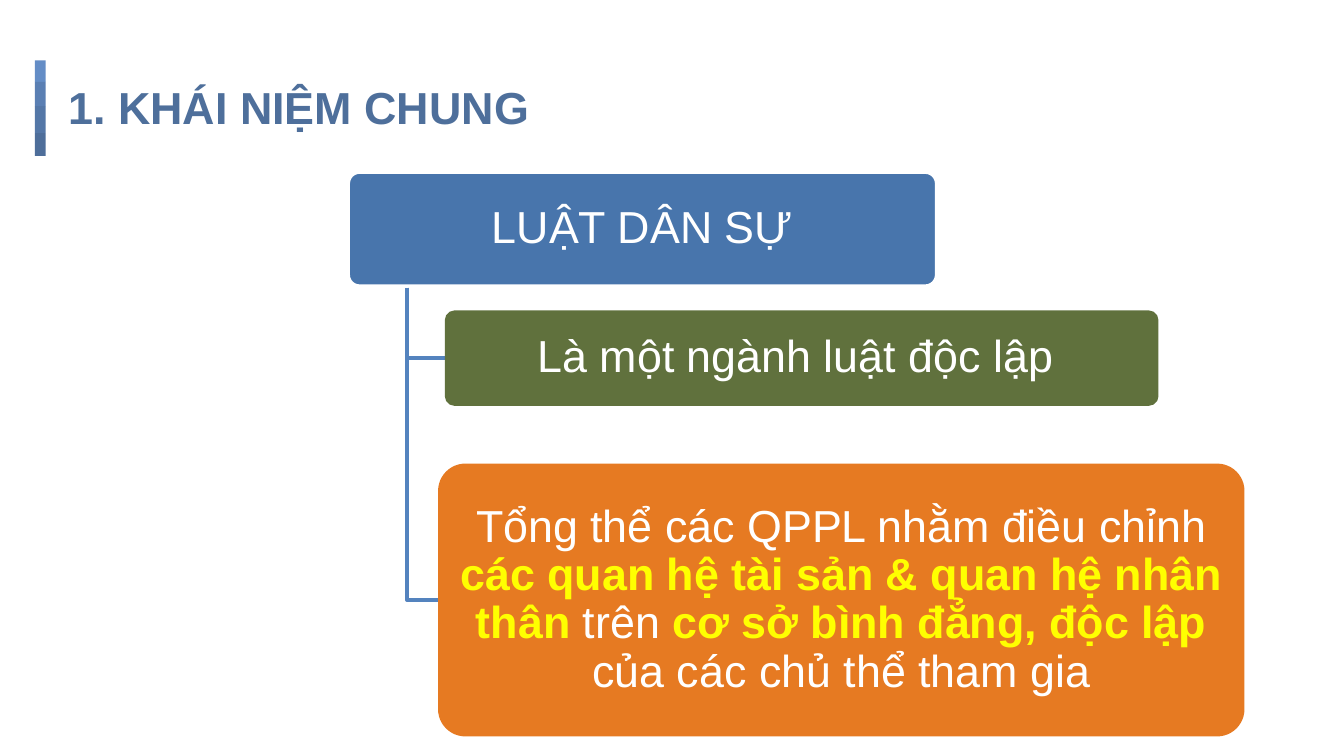
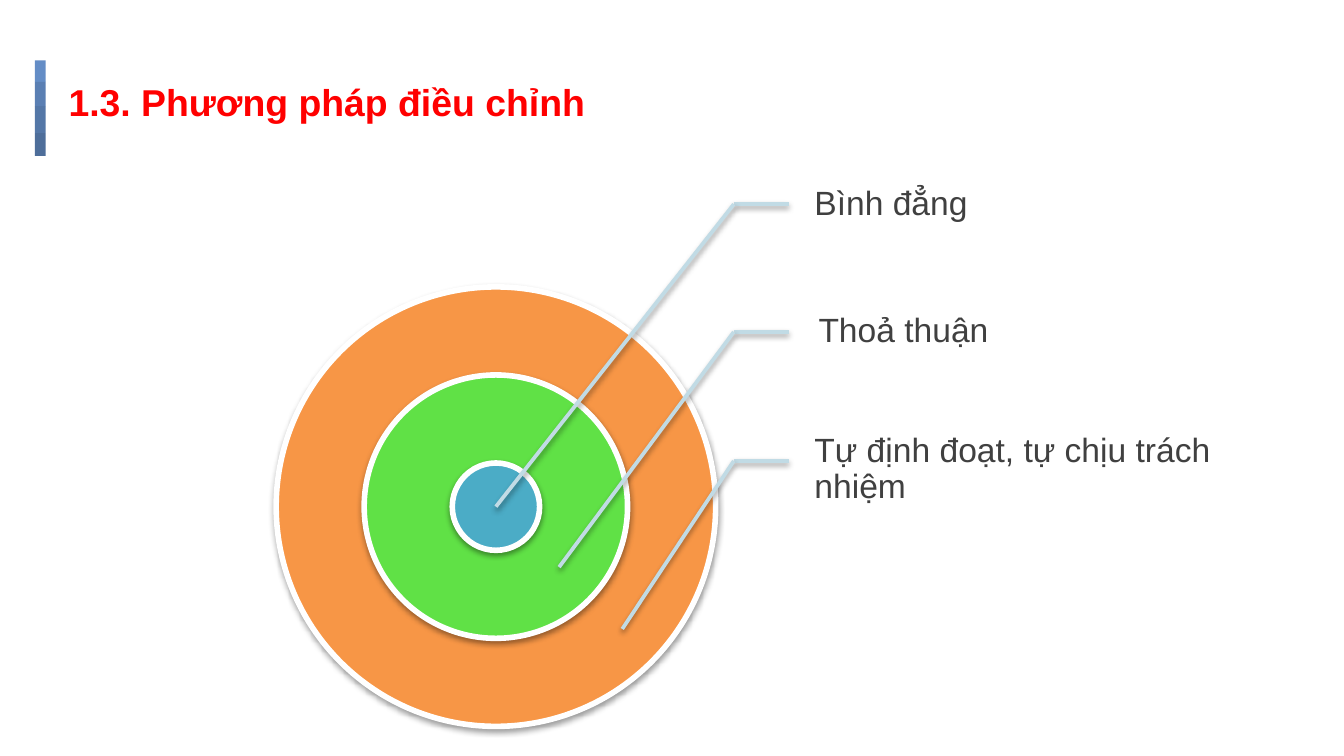
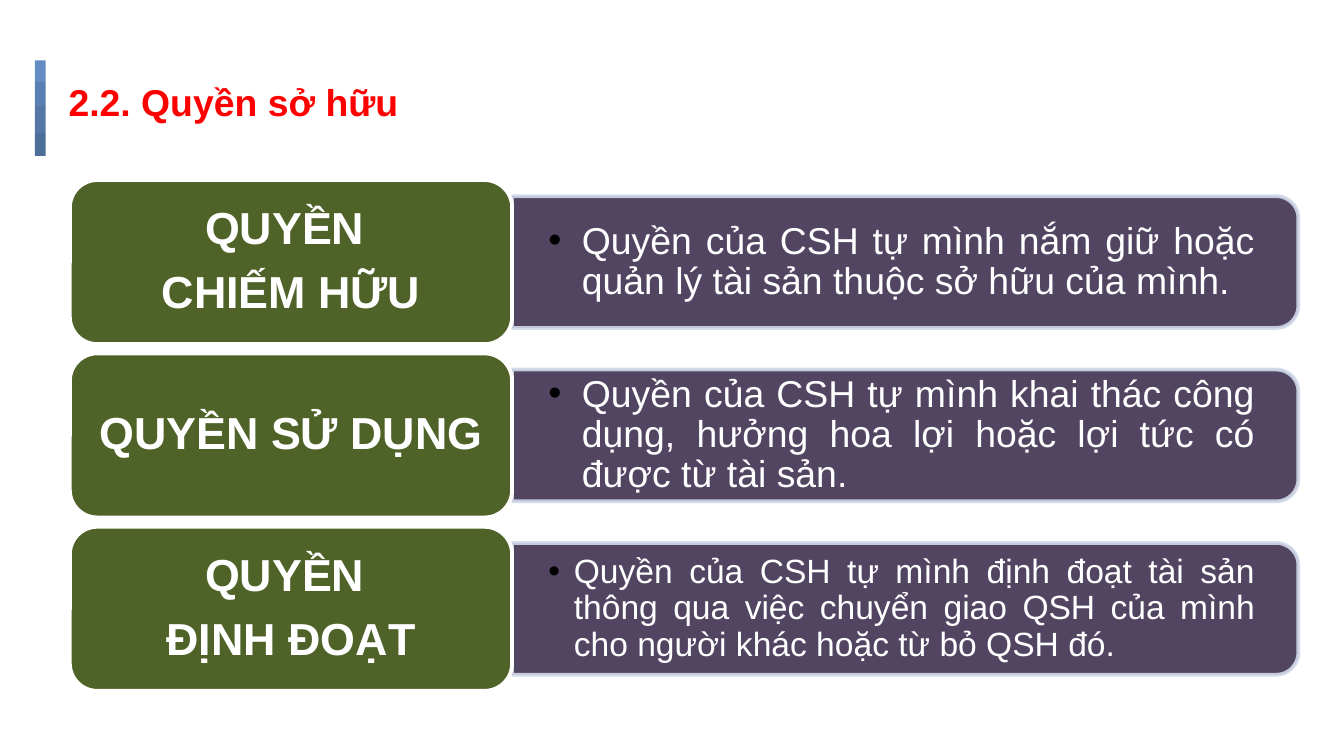
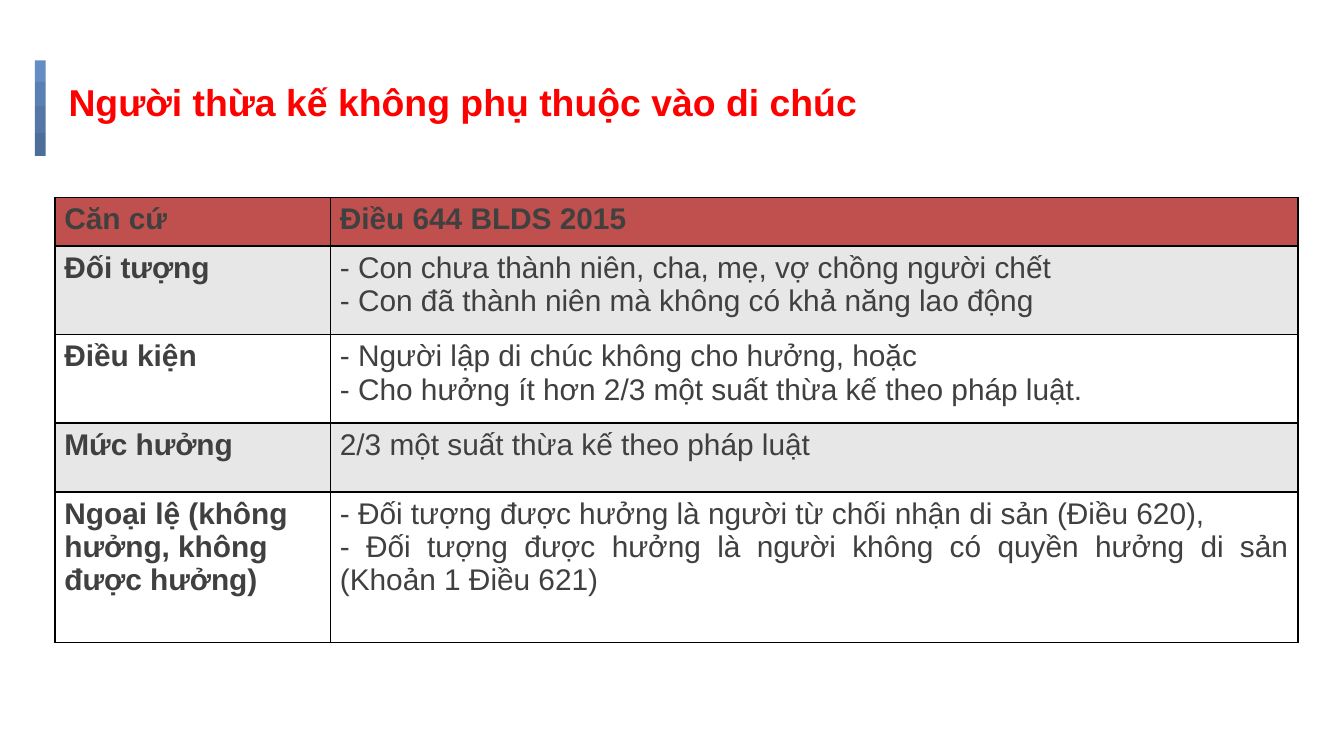
"""Build four slides on civil law: concept, method, ownership rights and inheritance."""
from typing import Any, NamedTuple, Optional, Sequence

from lxml.etree import SubElement
from pptx import Presentation
from pptx.dml.color import RGBColor
from pptx.enum.shapes import MSO_CONNECTOR, MSO_SHAPE as SHAPE
from pptx.enum.text import MSO_ANCHOR as ANCHOR, PP_ALIGN as ALIGN
from pptx.oxml.ns import qn
from pptx.util import Emu, Inches, Pt

FONT = "Arial"
SLIDE_WIDTH = Inches(10)
SLIDE_HEIGHT = SLIDE_WIDTH * 9 // 16
WHITE = RGBColor(0xFF, 0xFF, 0xFF)
BLACK = RGBColor(0x00, 0x00, 0x00)
RED = RGBColor(0xFF, 0x00, 0x00)
YELLOW = RGBColor(0xFF, 0xFF, 0x00)
TEXT_GREY = RGBColor(0x40, 0x40, 0x40)
TITLE_BLUE = RGBColor(0x4E, 0x6F, 0x9B)
ROOT_BLUE = RGBColor(0x48, 0x75, 0xAC)
BRANCH_BLUE = RGBColor(0x54, 0x83, 0xBE)
OLIVE = RGBColor(0x4F, 0x62, 0x28)
ORANGE = RGBColor(0xE4, 0x6C, 0x0A)
RING_ORANGE = RGBColor(0xF7, 0x96, 0x46)
RING_GREEN = RGBColor(0x60, 0xE1, 0x46)
RING_TEAL = RGBColor(0x4B, 0xAC, 0xC6)
LEADER_BLUE = RGBColor(0xC1, 0xDB, 0xE5)
PURPLE = RGBColor(0x40, 0x31, 0x52)
PALE_BLUE = RGBColor(0xD0, 0xD8, 0xE8)
HEADER_RED = RGBColor(0xC0, 0x50, 0x4D)
BAND_GREY = RGBColor(0xE7, 0xE7, 0xE7)


class Box(NamedTuple):
    """Left, top, width and height in inches."""
    x: float
    y: float
    w: float
    h: float


class Run(NamedTuple):
    """A piece of text with its colour and weight."""
    text: str
    color: RGBColor = WHITE
    bold: bool = False


class Bar(NamedTuple):
    """One segment of the vertical title bar."""
    height: float
    color: RGBColor


class Node(NamedTuple):
    """A box of the concept tree."""
    box: Box
    fill: RGBColor
    runs: Sequence[Run]
    alpha: Optional[int] = None


class Ring(NamedTuple):
    """A concentric circle."""
    diameter: float
    fill: RGBColor


class Callout(NamedTuple):
    """A label with the point its leader line reaches."""
    text: str
    box: Box
    y: float
    target: tuple[float, float]
    align: ALIGN = ALIGN.LEFT


class Right(NamedTuple):
    """An ownership right and its meaning."""
    name: Sequence[str]
    meaning: str
    size: int = 20
    indent: float = 0.25


class Row(NamedTuple):
    """A table row."""
    height: float
    head: str
    lines: Sequence[str]
    fill: RGBColor


BARS = (
    Bar(0.16, RGBColor(0x64, 0x8D, 0xC6)),
    Bar(0.18, RGBColor(0x5A, 0x7F, 0xB3)),
    Bar(0.2, RGBColor(0x54, 0x77, 0xA7)),
    Bar(0.17, RGBColor(0x4E, 0x6E, 0x9A)),
)
ROOT = Node(Box(2.59, 1.28, 4.38, 0.85), ROOT_BLUE, [Run("LUẬT DÂN SỰ")])
BRANCHES = (
    Node(Box(3.31, 2.31, 5.31, 0.71), OLIVE, [Run("Là một ngành luật độc lập ")], 90),
    Node(Box(3.26, 3.45, 6, 2.03), ORANGE, [
        Run("Tổng thể các QPPL nhằm điều chỉnh "),
        Run("các quan hệ tài sản & quan hệ nhân thân ", YELLOW, True),
        Run("trên "),
        Run("cơ sở bình đẳng, độc lập ", YELLOW, True),
        Run("của các chủ thể tham gia"),
    ], 90),
)
TRUNK_X, TRUNK_Y = 3.03, 2.14
CENTER = (3.69, 3.77)
RINGS = (Ring(3.27, RING_ORANGE), Ring(1.96, RING_GREEN), Ring(0.65, RING_TEAL))
LEADER_X, LEADER_END = 5.46, 5.87
CALLOUTS = (
    Callout("Bình đẳng", Box(5.76, 1.05, 1.63, 0.95), 1.52, CENTER, ALIGN.CENTER),
    Callout("Thoả thuận", Box(5.95, 1.99, 2.11, 0.95), 2.47, (4.16, 4.22)),
    Callout("Tự định đoạt, tự chịu trách nhiệm", Box(5.92, 3.02, 3.14, 0.95),
            3.43, (4.63, 4.68)),
)
RIGHTS = (
    Right(["QUYỀN ", "CHIẾM HỮU"],
          "Quyền của CSH tự mình nắm giữ hoặc quản lý tài sản thuộc sở hữu của mình. "),
    Right(["QUYỀN SỬ DỤNG"],
          "Quyền của CSH tự mình khai thác công dụng, hưởng hoa lợi hoặc lợi tức "
          "có được từ tài sản. "),
    Right(["QUYỀN ", "ĐỊNH ĐOẠT"],
          "Quyền của CSH tự mình định đoạt tài sản thông qua việc chuyển giao QSH "
          "của mình cho người khác hoặc từ bỏ QSH đó.", 18, 0.19),
)
RIGHTS_TOP, RIGHTS_PITCH = 1.34, 1.29
COLUMNS = (2.05, 7.2)
ROWS = (
    Row(0.36, "Căn cứ", ["Điều 644 BLDS 2015"], HEADER_RED),
    Row(0.66, "Đối tượng", ["- Con chưa thành niên, cha, mẹ, vợ chồng người chết",
                            "- Con đã thành niên mà không có khả năng lao động "], BAND_GREY),
    Row(0.66, "Điều kiện", ["- Người lập di chúc không cho hưởng, hoặc",
                            "- Cho hưởng ít hơn 2/3 một suất thừa kế theo pháp luật."], WHITE),
    Row(0.51, "Mức hưởng", ["2/3 một suất thừa kế theo pháp luật"], BAND_GREY),
    Row(1.12, "Ngoại lệ (không hưởng, không được hưởng)",
        ["- Đối tượng được hưởng là người từ chối nhận di sản (Điều 620), ",
         "- Đối tượng được hưởng là người không có quyền hưởng di sản (Khoản 1 Điều 621)"],
        WHITE),
)


def assign(obj: Any, values: dict[str, Any]) -> None:
    """Set each named attribute of an object."""
    for name, value in values.items():
        setattr(obj, name, value)


def inches(box: Sequence[float]) -> list[Emu]:
    """Convert a box or point to lengths."""
    return [Inches(v) for v in box]


def set_frame(tf: Any, margins: tuple[float, float, float, float],
              anchor: ANCHOR = ANCHOR.MIDDLE) -> None:
    """Set wrapping, anchor and the left, top, right and bottom margins."""
    left, top, right, bottom = inches(margins)
    assign(tf, {"word_wrap": True, "vertical_anchor": anchor, "margin_left": left,
                "margin_top": top, "margin_right": right, "margin_bottom": bottom})


def write(tf: Any, paragraphs: Sequence[Sequence[Run]], size: int,
          align: ALIGN = ALIGN.CENTER, **spacing: Any) -> None:
    """Fill a text frame with formatted paragraphs."""
    for i, runs in enumerate(paragraphs):
        p = tf.add_paragraph() if i else tf.paragraphs[0]
        assign(p, {"alignment": align, **spacing})
        for run in runs:
            r = p.add_run()
            r.text = run.text
            assign(r.font, {"name": FONT, "size": Pt(size), "bold": run.bold})
            r.font.color.rgb = run.color


def add_bullet(p: Any, indent: float) -> None:
    """Give a paragraph a black hanging bullet."""
    p.level = 1
    pPr = p._p.get_or_add_pPr()
    pPr.set("marL", str(Inches(indent)))
    pPr.set("indent", str(-Inches(indent)))
    color = SubElement(pPr, qn("a:buClr"))
    SubElement(color, qn("a:srgbClr"), val=str(BLACK))
    SubElement(pPr, qn("a:buFont"), typeface=FONT)
    SubElement(pPr, qn("a:buChar"), char="•")


def set_line(line: Any, color: Optional[RGBColor], width: float = 2) -> None:
    """Colour an outline, or remove it."""
    if color is None:
        line.fill.background()
    else:
        line.color.rgb = color
        line.width = Pt(width)


def set_alpha(sp: Any, percent: int) -> None:
    """Make the fill and outline of a shape translucent."""
    for color in sp._element.spPr.iter(qn("a:srgbClr")):
        SubElement(color, qn("a:alpha"), val=str(percent * 1000))


def cast_shadow(sp: Any) -> None:
    """Add a soft shadow below a shape or connector."""
    spPr = sp._element.spPr
    effects = spPr.find(qn("a:effectLst"))
    if effects is None:
        effects = SubElement(spPr, qn("a:effectLst"))
    shadow = SubElement(effects, qn("a:outerShdw"), blurRad=str(Pt(3.1)), dist=str(Pt(1.6)),
                        dir="5400000", rotWithShape="0")
    color = SubElement(shadow, qn("a:srgbClr"), val=str(BLACK))
    SubElement(color, qn("a:alpha"), val="38000")


def add_box(shapes: Any, kind: SHAPE, box: Box, fill: RGBColor,
            line: Optional[RGBColor] = None, width: float = 2) -> Any:
    """Draw a filled preset shape."""
    sp = shapes.add_shape(kind, *inches(box))
    sp.shadow.inherit = False
    sp.fill.solid()
    sp.fill.fore_color.rgb = fill
    set_line(sp.line, line, width)
    return sp


def add_label(shapes: Any, box: Box, margins: tuple[float, float, float, float]) -> Any:
    """Add a text box and return its text frame."""
    tf = shapes.add_textbox(*inches(box)).text_frame
    set_frame(tf, margins)
    return tf


def prepare_layout(prs: Any) -> Any:
    """Place the title on the title-only layout and drop its footers."""
    layout = prs.slide_layouts[5]
    for ph in list(layout.placeholders):
        if ph.placeholder_format.idx:
            ph._element.getparent().remove(ph._element)
    title = layout.placeholders[0]
    left, top, width, height = inches(Box(0.41, 0.49, 9.25, 0.63))
    assign(title, {"left": left, "top": top, "width": width, "height": height})
    set_frame(title.text_frame, (0.1, 0.1, 0.1, 0.1), ANCHOR.TOP)
    return layout


def add_title_bar(slide: Any, layout: Any) -> None:
    """Stack the bar segments in a group and move it to the layout."""
    group = slide.shapes.add_group_shape()
    y = 0.45
    for bar in BARS:
        add_box(group.shapes, SHAPE.RECTANGLE, Box(0.26, y, 0.08, bar.height), bar.color)
        y += bar.height
    layout.shapes._spTree.append(group._element)


def add_slide(prs: Any, layout: Any, title: str, color: RGBColor = RED, size: int = 20) -> Any:
    """Add a slide with its title."""
    slide = prs.slides.add_slide(layout)
    write(slide.shapes.title.text_frame, [[Run(title, color, True)]], size, ALIGN.LEFT)
    return slide


def add_node(shapes: Any, node: Node, line: Optional[RGBColor] = None) -> None:
    """Draw one box of the concept tree."""
    sp = add_box(shapes, SHAPE.ROUNDED_RECTANGLE, node.box, node.fill, line)
    sp.adjustments[0] = 0.1
    if node.alpha:
        set_alpha(sp, node.alpha)
    set_frame(sp.text_frame, (0.05, 0.03, 0.05, 0.03))
    write(sp.text_frame, [node.runs], 24, line_spacing=0.9)


def draw_concept(slide: Any) -> None:
    """Draw the tree of the civil law concept."""
    add_node(slide.shapes, ROOT, WHITE)
    for node in BRANCHES:
        middle = node.box.y + node.box.h / 2
        builder = slide.shapes.build_freeform(Inches(TRUNK_X), Inches(TRUNK_Y))
        builder.add_line_segments([inches((TRUNK_X, middle)), inches((node.box.x, middle))],
                                  close=False)
        sp = builder.convert_to_shape()
        sp.shadow.inherit = False
        sp.fill.background()
        set_line(sp.line, BRANCH_BLUE)
        add_node(slide.shapes, node)


def draw_method(slide: Any) -> None:
    """Draw the concentric rings and their callouts."""
    cx, cy = CENTER
    for ring in RINGS:
        d = ring.diameter
        cast_shadow(add_box(slide.shapes, SHAPE.OVAL, Box(cx - d / 2, cy - d / 2, d, d),
                            ring.fill, WHITE, 3))
    for callout in CALLOUTS:
        tf = add_label(slide.shapes, callout.box, (0.14, 0.03, 0.03, 0.03))
        write(tf, [[Run(callout.text, TEXT_GREY)]], 18, callout.align, line_spacing=0.9)
        for end in ((LEADER_END, callout.y), callout.target):
            line = slide.shapes.add_connector(MSO_CONNECTOR.STRAIGHT,
                                              *inches((LEADER_X, callout.y, *end)))
            set_line(line.line, LEADER_BLUE)
            cast_shadow(line)


def draw_rights(slide: Any) -> None:
    """Draw a name card and a meaning panel for each right."""
    w, h = 0.98, 5.85
    panel_x, card_h = 3.81, 1.22
    for i, right in enumerate(RIGHTS):
        y = RIGHTS_TOP + i * RIGHTS_PITCH
        middle = y + card_h / 2
        panel = add_box(slide.shapes, SHAPE.ROUND_2_SAME_RECTANGLE,
                        Box(panel_x + (h - w) / 2, middle - h / 2, w, h), PURPLE, PALE_BLUE)
        panel.rotation = 90
        set_alpha(panel, 90)
        tf = add_label(slide.shapes, Box(panel_x, middle - 0.44, 5.8, 0.88),
                       (0.27, 0.14, 0.27, 0.14))
        add_bullet(tf.paragraphs[0], right.indent)
        write(tf, [[Run(right.meaning)]], right.size, ALIGN.JUSTIFY, line_spacing=0.9)
        card = add_box(slide.shapes, SHAPE.ROUNDED_RECTANGLE, Box(0.52, y, 3.29, card_h),
                       OLIVE, WHITE)
        set_frame(card.text_frame, (0.1, 0.05, 0.1, 0.05))
        write(card.text_frame, [[Run(name, bold=True)] for name in right.name], 24,
              line_spacing=0.9, space_after=Pt(8.4))


def add_borders(cell: Any) -> None:
    """Draw a thin black border on each side of a cell."""
    tcPr = cell._tc.get_or_add_tcPr()
    for i, side in enumerate(("lnL", "lnR", "lnT", "lnB")):
        ln = tcPr.makeelement(qn(f"a:{side}"), {"w": str(Pt(1))})
        fill = SubElement(ln, qn("a:solidFill"))
        SubElement(fill, qn("a:srgbClr"), val=str(BLACK))
        tcPr.insert(i, ln)


def draw_inheritance(slide: Any) -> None:
    """Draw the table of heirs independent of the will."""
    box = Box(0.41, 1.47, sum(COLUMNS), sum(row.height for row in ROWS))
    table = slide.shapes.add_table(len(ROWS), len(COLUMNS), *inches(box)).table
    for column, width in zip(table.columns, COLUMNS):
        column.width = Inches(width)
    for i, row in enumerate(ROWS):
        table.rows[i].height = Inches(row.height)
        contents = (([row.head], ALIGN.LEFT, True), (row.lines, ALIGN.JUSTIFY, i == 0))
        for j, (lines, align, bold) in enumerate(contents):
            cell = table.cell(i, j)
            left, top = inches((0.07, 0.04))
            assign(cell, {"margin_left": left, "margin_right": left,
                          "margin_top": top, "margin_bottom": top})
            cell.fill.solid()
            cell.fill.fore_color.rgb = row.fill
            add_borders(cell)
            write(cell.text_frame, [[Run(line, TEXT_GREY, bold)] for line in lines], 16, align)


def main() -> None:
    """Build and save the presentation."""
    prs = Presentation()
    assign(prs, {"slide_width": SLIDE_WIDTH, "slide_height": SLIDE_HEIGHT})
    layout = prepare_layout(prs)
    concept = add_slide(prs, layout, "1. KHÁI NIỆM CHUNG", TITLE_BLUE, 24)
    add_title_bar(concept, layout)
    draw_concept(concept)
    draw_method(add_slide(prs, layout, "1.3. Phương pháp điều chỉnh"))
    draw_rights(add_slide(prs, layout, "2.2. Quyền sở hữu"))
    draw_inheritance(add_slide(prs, layout, "Người thừa kế không phụ thuộc vào di chúc"))
    prs.save("out.pptx")


if __name__ == "__main__":
    main()
